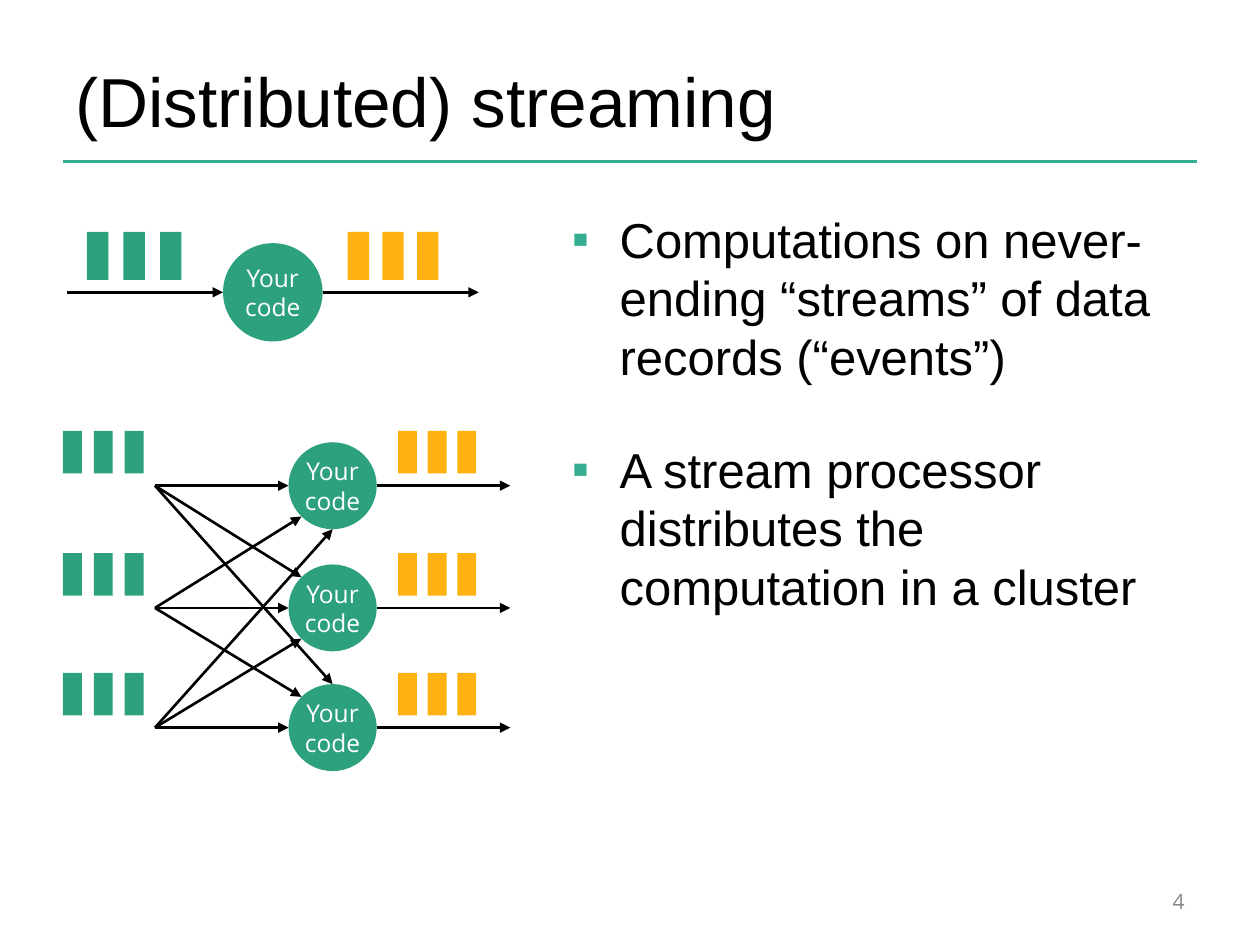
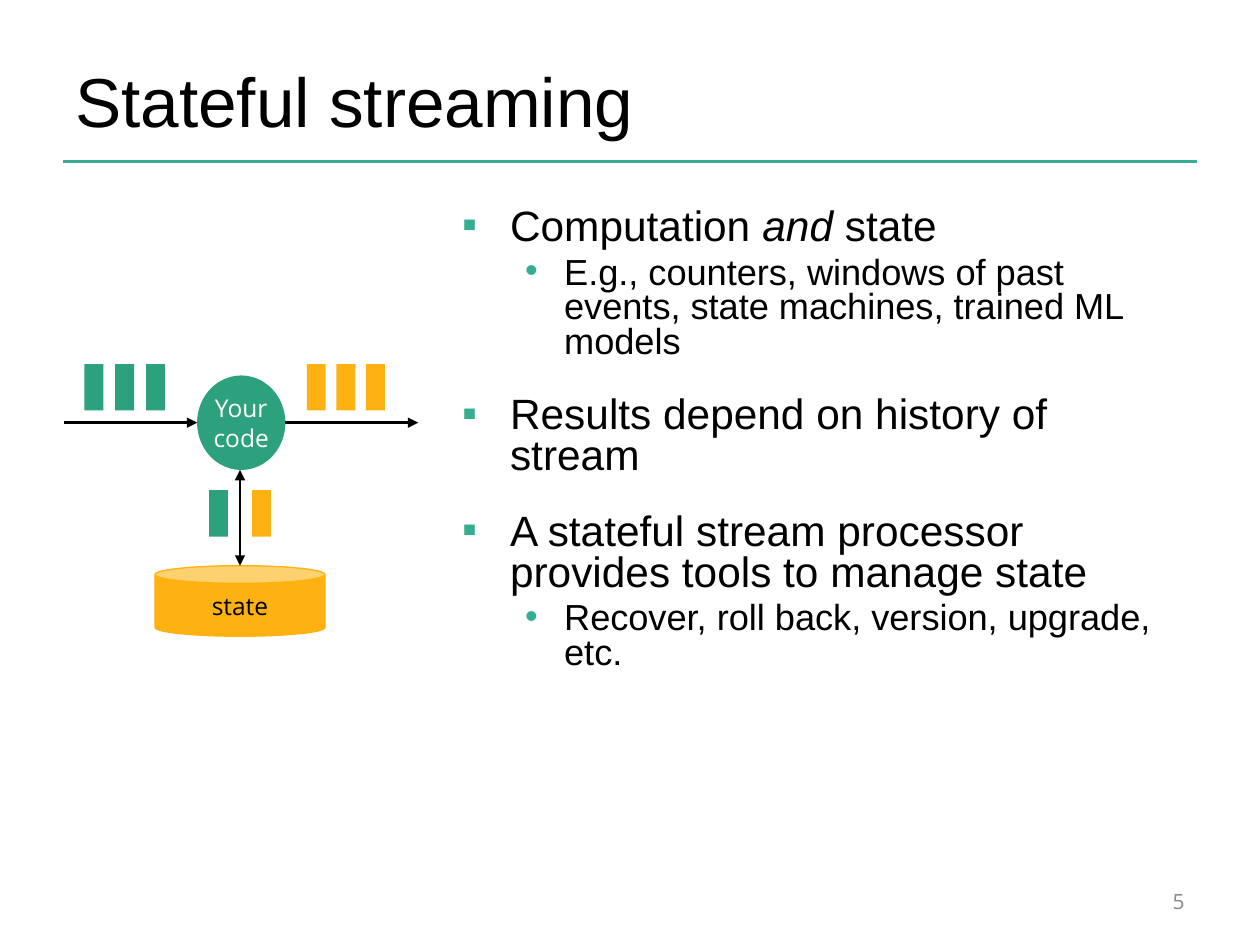
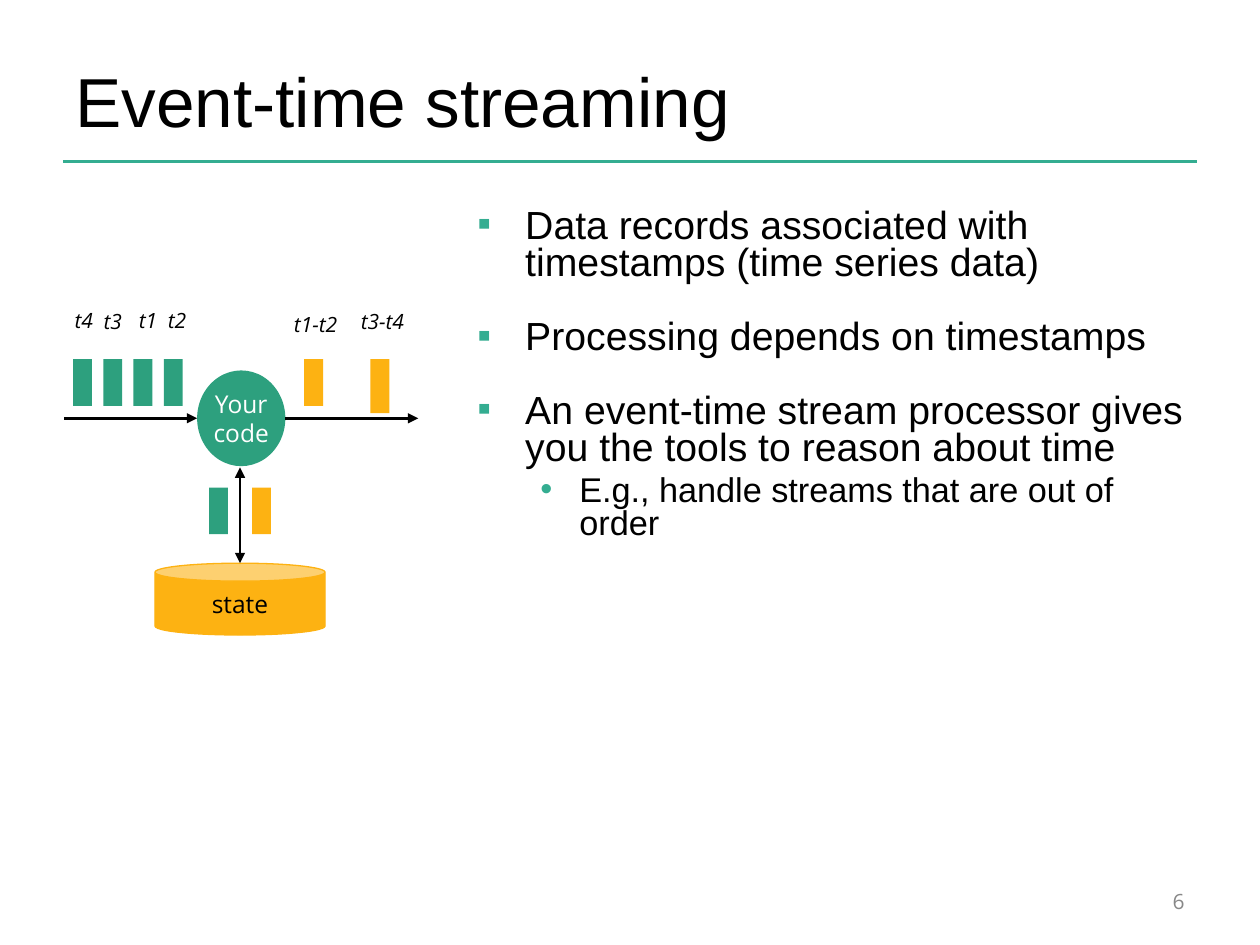
from lxml import etree
from pptx import Presentation
from pptx.dml.color import RGBColor
from pptx.enum.shapes import MSO_CONNECTOR, MSO_SHAPE
from pptx.enum.text import MSO_ANCHOR, PP_ALIGN
from pptx.oxml.ns import qn
from pptx.util import Inches, Pt

RECT, OVAL, CAN = MSO_SHAPE.RECTANGLE, MSO_SHAPE.OVAL, MSO_SHAPE.CAN
STRAIGHT = MSO_CONNECTOR.STRAIGHT
TOP, MIDDLE = MSO_ANCHOR.TOP, MSO_ANCHOR.MIDDLE
LEFT, CENTER, RIGHT = PP_ALIGN.LEFT, PP_ALIGN.CENTER, PP_ALIGN.RIGHT

TEAL = RGBColor(0x34, 0xAD, 0x91)
GREEN = RGBColor(0x2D, 0xA0, 0x7E)
YELLOW = RGBColor(0xFD, 0xB2, 0x12)
BLACK = RGBColor(0, 0, 0)
WHITE = RGBColor(0xFF, 0xFF, 0xFF)
GREY = RGBColor(0x88, 0x88, 0x88)
SANS, LABEL = "Arial", "Open Sans"

prs = Presentation()
prs.slide_width, prs.slide_height = Inches(10), Inches(7.5)
CELL = prs.slide_width / 100  # the grid has 100 columns and 75 rows


def grid(*cells):
    """Turn grid cells into slide lengths."""
    return [round(c * CELL) for c in cells]


def add_run(p, text, size, color=BLACK, font=SANS, italic=False):
    """Add one styled run to a paragraph."""
    r = p.add_run()
    r.text = text
    r.font.size, r.font.name, r.font.italic = Pt(size), font, italic
    r.font.color.rgb = color


def add_text(s, box, text, size, align=LEFT, anchor=MIDDLE, wrap=True, **style):
    """Place a one-paragraph text box."""
    tf = s.shapes.add_textbox(*grid(*box)).text_frame
    tf.word_wrap, tf.vertical_anchor = wrap, anchor
    p = tf.paragraphs[0]
    p.alignment = align
    add_run(p, text, size, **style)


def add_block(s, kind, box, fill, text="", color=WHITE, inset=0):
    """Place a filled shape with an optional centred label."""
    sp = s.shapes.add_shape(kind, *grid(*box))
    sp.shadow.inherit = False
    sp.fill.solid()
    sp.fill.fore_color.rgb = fill
    sp.line.fill.background()
    if text:
        tf = sp.text_frame
        tf.word_wrap, tf.vertical_anchor = True, MIDDLE
        tf.margin_left = tf.margin_right = Inches(inset)
        tf.margin_top = tf.margin_bottom = Inches(inset / 2)
        p = tf.paragraphs[0]
        p.alignment = CENTER
        add_run(p, text, 14, color, LABEL)
    return sp


def add_line(s, start, end, color=BLACK, width=1.5, ends=("tailEnd",)):
    """Draw a straight line with triangles at the named ends."""
    line = s.shapes.add_connector(STRAIGHT, *grid(*start, *end))
    line.line.color.rgb, line.line.width = color, Pt(width)
    sp_pr = line._element.spPr
    ln = sp_pr.find(qn("a:ln"))
    for end_tag in ends:
        etree.SubElement(ln, qn("a:" + end_tag), type="triangle")
    etree.SubElement(sp_pr, qn("a:effectLst"))


def new_slide(title, number):
    """Start a slide with title, rule and page number."""
    s = prs.slides.add_slide(prs.slide_layouts[6])
    add_line(s, (5, 12.8), (95, 12.8), TEAL, 2, ends=())
    add_text(s, (5, 3, 81.7, 9.8), title, 39.6)
    add_text(s, (71.7, 69.5, 23.3, 4), str(number), 12, RIGHT, color=GREY, font=LABEL)
    return s


def add_bullets(s, box, items, sizes, gaps, spacing=None):
    """Place (level, runs) bullets; sizes and gaps are given per level."""
    tf = s.shapes.add_textbox(*grid(*box)).text_frame
    tf.word_wrap = True
    for i, (level, runs) in enumerate(items):
        p = tf.paragraphs[0] if i == 0 else tf.add_paragraph()
        p.level = level
        p.space_before = Pt(gaps[level] if i else 0)
        if spacing:
            p.line_spacing = spacing
        margin, hang, char = ((0.38, 0.38, "▪"), (0.81, 0.31, "•"))[level]
        p_pr = p._p.get_or_add_pPr()
        p_pr.set("marL", str(Inches(margin)))
        p_pr.set("indent", str(-Inches(hang)))
        bu_clr = etree.SubElement(p_pr, qn("a:buClr"))
        etree.SubElement(bu_clr, qn("a:srgbClr"), val=str(TEAL))
        etree.SubElement(p_pr, qn("a:buFont"), typeface=SANS)
        etree.SubElement(p_pr, qn("a:buChar"), char=char)
        for text, italic in runs:
            add_run(p, text, sizes[level], italic=italic)


def add_records(s, box, pitch, count, color):
    """Place a row of record bars; box is that of the first one."""
    x, y, w, h = box
    for i in range(count):
        add_block(s, RECT, (x + i * pitch, y, w, h), color)


def add_flow(s, box, d, green, yellow):
    """Draw arrow, code circle of width d, arrow, and the records above.

    green and yellow are (offset, pitch, count), counted from the left edge
    of the box and from the right edge of the circle.
    """
    x, y, w, h = box
    left, mid = x + (w - d) / 2, y + h / 2
    add_block(s, OVAL, (left, y, d, h), GREEN, "Your code")
    add_line(s, (x, mid), (left, mid))
    add_line(s, (left + d, mid), (x + w, mid))
    for start, (offset, pitch, count), color in (
            (x, green, GREEN), (left + d, yellow, YELLOW)):
        bar = (start + offset, y - 0.9, 0.215 * d, 0.49 * h)
        add_records(s, bar, pitch, count, color)


def add_cluster(s, box, d, h, tops):
    """Draw parallel flows whose sources feed every code circle."""
    x, y, w = box
    for top in tops:
        add_flow(s, (x, y + top, w, h), d, (-7.3, 2.45, 3), (1.7, 2.35, 3))
    center = x + w / 2
    diagonal = 0.5 ** 0.5
    for i, source in enumerate(tops):
        for j, target in enumerate(tops):
            if i == j:
                continue
            side = 1 if i > j else -1
            # neighbours meet the circle on its diagonal, others at its pole
            near = diagonal if abs(i - j) == 1 else 0
            rise = near or 1
            end = (center - near * d / 2, y + target + (1 + side * rise) * h / 2)
            add_line(s, (x, y + source + h / 2), end)


def add_state(s, box):
    """Draw the state store with its two-way arrow and records above it."""
    x, y, w, h = box
    arrow, can_h = 7.6, h - 7.6
    can = add_block(s, CAN, (x, y + arrow, w, can_h), YELLOW, "state", BLACK, 0.1)
    can.line.color.rgb, can.line.width = YELLOW, Pt(0.75)
    mid = x + w / 2
    add_line(s, (mid, y), (mid, y + arrow), ends=("headEnd", "tailEnd"))
    for left, color in ((4.3, GREEN), (7.7, YELLOW)):
        add_block(s, RECT, (x + left, y + 1.6, 1.5, 3.7), color)


def add_times(s, y, labels):
    """Write timestamps in italics around the given centres."""
    for text, center, drop in labels:
        w = 3.9 if len(text) == 2 else 5.9
        add_text(s, (center - w / 2, y + drop, w, 3.7), text, 12, CENTER, TOP,
                 wrap=False, font=LABEL, italic=True)


def streaming_slide():
    """Slide on distributed streaming."""
    s = new_slide("(Distributed) streaming", 4)
    add_bullets(s, (44.4, 16.1, 50.6, 50.9), [
        (0, [("Computations on never-ending “streams” of data records (“events”)", False)]),
        (0, [("A stream processor distributes the computation in a cluster", False)]),
    ], (28,), (30.6,))
    add_flow(s, (5.3, 19.3, 32.7, 7.8), 7.9, (1.6, 2.9, 3), (2, 2.75, 3))
    add_cluster(s, (12.3, 35.1, 28.2), 7, 6.9, (0, 9.7, 19.2))


def stateful_slide():
    """Slide on stateful streaming."""
    s = new_slide("Stateful streaming", 5)
    add_bullets(s, (35.7, 16.1, 59.3, 56), [
        (0, [("Computation ", False), ("and", True), (" state", False)]),
        (1, [("E.g., counters, windows of past events, state machines, "
              "trained ML models", False)]),
        (0, [("Results depend on history of stream", False)]),
        (0, [("A stateful stream processor provides tools to manage state", False)]),
        (1, [("Recover, roll back, version, upgrade, etc.", False)]),
    ], (24.2, 20.7), (20.3, 4.3), 0.8)
    add_flow(s, (5.1, 29.8, 28.1, 7.5), 7, (1.6, 2.45, 3), (1.7, 2.35, 3))
    add_state(s, (12.3, 37.3, 13.5, 13.2))


def event_time_slide():
    """Slide on event-time streaming."""
    s = new_slide("Event-time streaming", 6)
    add_bullets(s, (36.9, 16.1, 58.1, 56.7), [
        (0, [("Data records associated with timestamps (time series data)", False)]),
        (0, [("Processing depends on timestamps", False)]),
        (0, [("An event-time stream processor gives you the tools to reason "
              "about time", False)]),
        (1, [("E.g., handle streams that are out of order", False)]),
    ], (22.4, 19.6), (20.7, 3.9), 0.8)
    add_flow(s, (5.1, 29.4, 28.1, 7.6), 7, (0.7, 2.4, 4), (1.5, 5.3, 1))
    add_block(s, RECT, (29.4, 28.5, 1.5, 4.3), YELLOW)
    add_state(s, (12.3, 37.1, 13.5, 13.3))
    add_times(s, 23.9, [("t4", 6.65, 0), ("t3", 8.95, 0.1), ("t1", 11.75, 0),
                        ("t2", 14.05, 0), ("t1-t2", 25.05, 0.3), ("t3-t4", 30.35, 0.1)])


streaming_slide()
stateful_slide()
event_time_slide()
prs.save("out.pptx")
